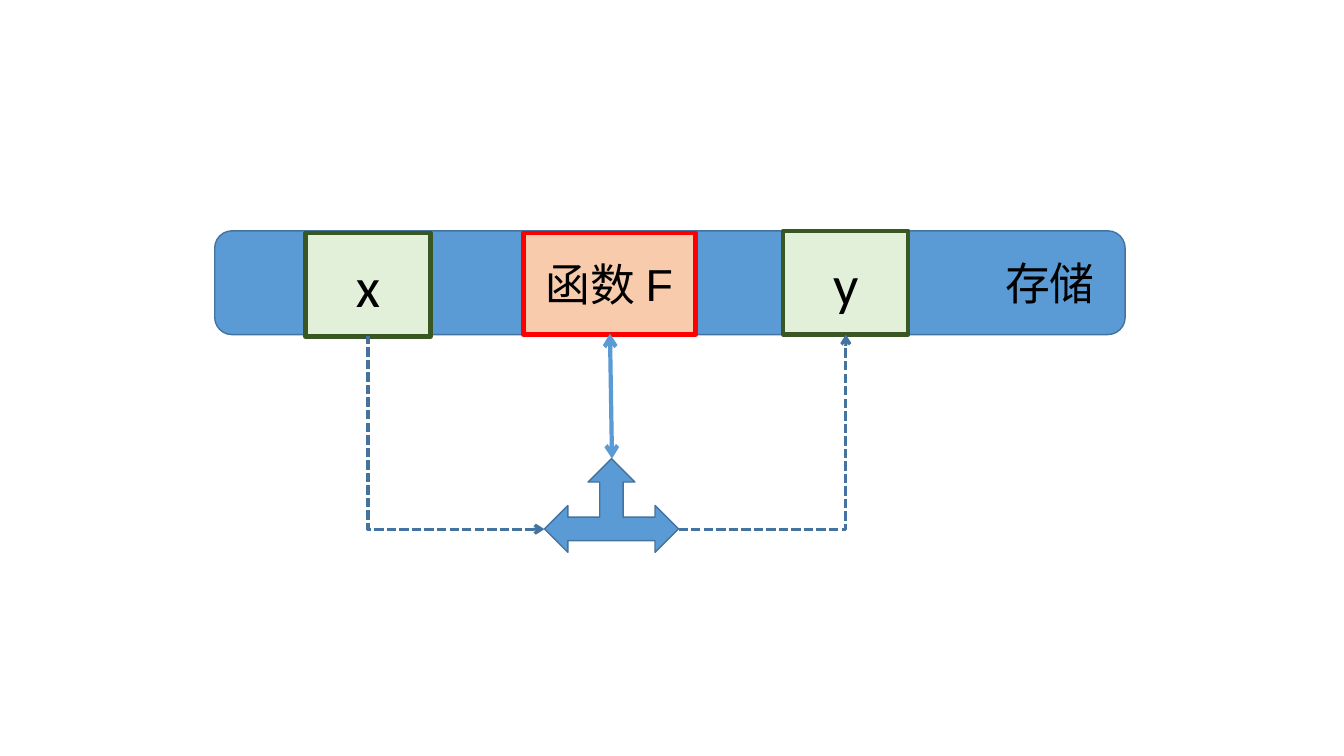
"""Build a slide showing function F reading x from storage and writing y back."""
from dataclasses import dataclass

from lxml import etree
from pptx import Presentation
from pptx.dml.color import RGBColor
from pptx.enum.dml import MSO_LINE
from pptx.enum.shapes import MSO_CONNECTOR, MSO_SHAPE
from pptx.enum.text import MSO_ANCHOR, PP_ALIGN
from pptx.oxml.ns import qn
from pptx.util import Inches, Pt

RECT = MSO_SHAPE.RECTANGLE
ROUND = MSO_SHAPE.ROUNDED_RECTANGLE
FORK = MSO_SHAPE.LEFT_RIGHT_UP_ARROW
STRAIGHT = MSO_CONNECTOR.STRAIGHT
ELBOW = MSO_CONNECTOR.ELBOW
DASH = MSO_LINE.SQUARE_DOT
MIDDLE = MSO_ANCHOR.MIDDLE
CENTER = PP_ALIGN.CENTER

COLORS = {
    "blue": "5B9BD5",
    "navy": "43739E",
    "peach": "F8CBAD",
    "red": "FF0000",
    "mint": "E2F0D9",
    "green": "385723",
    "black": "000000",
}


@dataclass
class Box:
    kind: int
    left: float
    top: float
    width: float
    height: float
    fill: str
    edge: str
    weight: float
    text: str = ""
    size: int = 40
    font: str = "Calibri"


@dataclass
class Link:
    start: tuple[float, float]
    end: tuple[float, float]
    color: str
    weight: float
    heads: tuple[str, ...]
    bent: bool = False


def shade(name: str) -> RGBColor:
    return RGBColor.from_string(COLORS[name])


def write(frame, text: str, size: int, font: str) -> None:
    frame.text = text
    for run in frame.paragraphs[0].runs:
        run.font.size = Pt(size)
        run.font.name = font
        run.font.color.rgb = shade("black")


def draw_box(slide, box: Box) -> None:
    place = [Inches(n) for n in (box.left, box.top, box.width, box.height)]
    shape = slide.shapes.add_shape(box.kind, *place)
    shape.shadow.inherit = False
    shape.fill.solid()
    shape.fill.fore_color.rgb = shade(box.fill)
    shape.line.color.rgb = shade(box.edge)
    shape.line.width = Pt(box.weight)
    if box.text:
        frame = shape.text_frame
        write(frame, box.text, box.size, box.font)
        frame.vertical_anchor = MIDDLE
        frame.paragraphs[0].alignment = CENTER


def draw_link(slide, link: Link) -> None:
    ends = [Inches(n) for n in (*link.start, *link.end)]
    line = slide.shapes.add_connector(ELBOW if link.bent else STRAIGHT, *ends)
    line.line.color.rgb = shade(link.color)
    line.line.width = Pt(link.weight)
    props = line._element.spPr
    if link.bent:
        line.line.dash_style = DASH
        props.find(qn("a:prstGeom")).set("prst", "bentConnector2")
    for head in link.heads:
        etree.SubElement(props.find(qn("a:ln")), qn(f"a:{head}"), type="arrow")
    etree.SubElement(props, qn("a:effectLst"))


BOXES = [
    Box(ROUND, 2.13, 2.29, 9.03, 1.03, "blue", "navy", 1),
    Box(RECT, 5.19, 2.31, 1.71, 1.01, "peach", "red", 3.25, "函数 F", 32, "Arial"),
    Box(RECT, 3.03, 2.31, 1.24, 1.03, "mint", "green", 3, "x"),
    Box(RECT, 7.77, 2.29, 1.24, 1.03, "mint", "green", 3, "y"),
    Box(FORK, 5.4, 4.55, 1.33, 0.93, "blue", "navy", 1),
]
LINKS = [
    Link((6.07, 4.55), (6.05, 3.31), "blue", 3, ("headEnd", "tailEnd")),
    Link((5.4, 5.25), (3.65, 3.33), "navy", 2.25, ("headEnd",), True),
    Link((6.73, 5.25), (8.39, 3.32), "navy", 2.25, ("tailEnd",), True),
]

deck = Presentation()
deck.slide_width = Inches(13.33)
deck.slide_height = Inches(7.5)
slide = deck.slides.add_slide(deck.slide_layouts[6])

for box in BOXES:
    draw_box(slide, box)
for link in LINKS:
    draw_link(slide, link)

label = slide.shapes.add_textbox(Inches(9.87), Inches(2.49), Inches(1.25), Inches(0.64))
label.text_frame.word_wrap = True
write(label.text_frame, "存储", 32, "Calibri")

deck.save("out.pptx")
